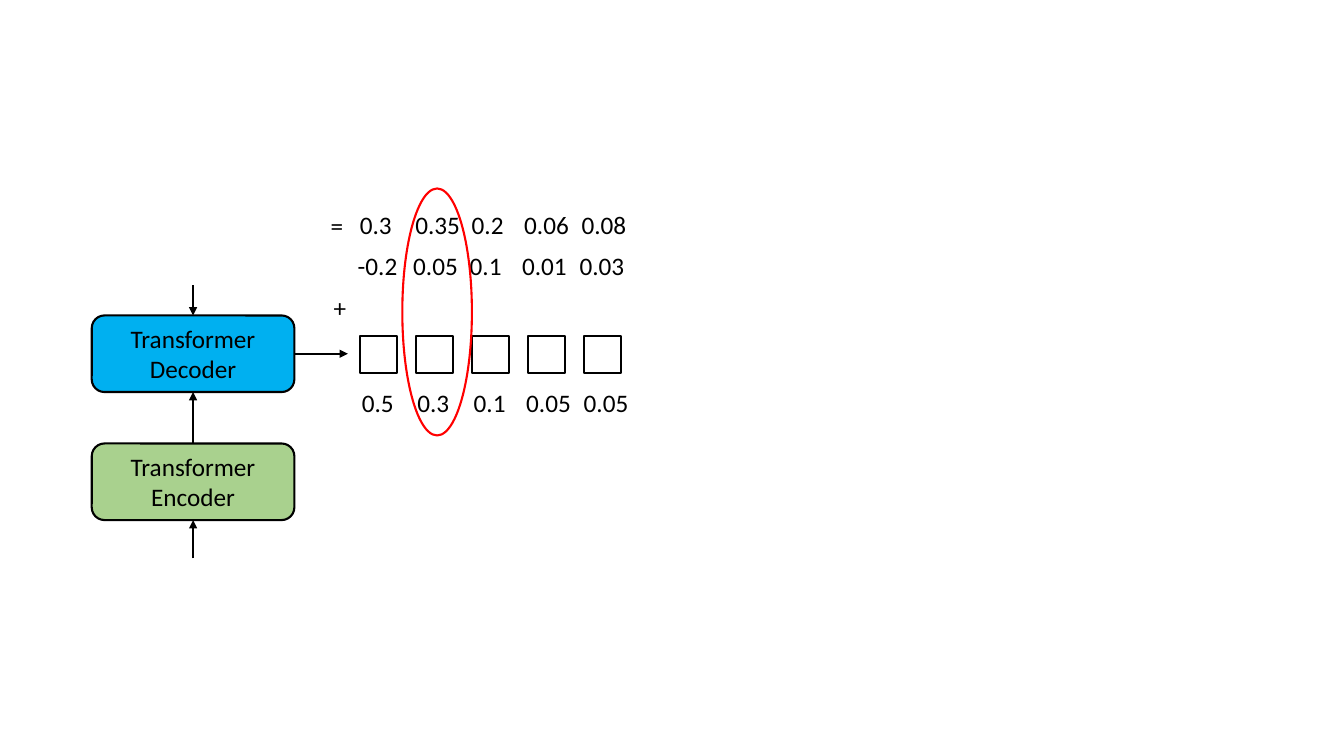
from lxml import etree
from pptx import Presentation
from pptx import util as u
from pptx.dml.color import RGBColor
from pptx.enum import shapes, text
from pptx.oxml import ns

COLORS = {"ink": "000000", "encoder": "A9D18E", "decoder": "00B0F0", "highlight": "FF0000"}
FONT = "Calibri"
BLOCK_LEFT, BLOCK_WIDTH, BLOCK_HEIGHT = 0.91, 2.01, 0.76
BLOCKS = {"encoder": ("Transformer\nEncoder", 4.4), "decoder": ("Transformer\nDecoder", 3.13)}

# Each score row: left shift, top, values
SCORE_ROWS = [
    (0, 3.79, ["0.5", "0.3", "0.1", "0.05", "0.05"]),
    (-0.04, 2.43, ["-0.2", "0.05", "0.1", "0.01", "0.03"]),
    (-0.02, 2.03, ["0.3", "0.35", "0.2", "0.06", "0.08"]),
]
SCORE_COLUMNS = [3.49, 4.04, 4.6, 5.12, 5.69]
OPERATORS = [("+", 3.21, 2.85), ("=", 3.18, 2.04)]
GLYPH_WIDTHS = {"+": 0.13, "=": 0.13, "-": 0.08, ".": 0.06}
TOKEN_COUNT, TOKEN_LEFT, TOKEN_TOP, TOKEN_SIZE, TOKEN_STEP = 5, 3.57, 3.33, 0.37, 0.555
HIGHLIGHT = (3.99, 1.87, 0.69, 2.45)


def color(name):
    return RGBColor.from_string(COLORS[name])


def style_text(frame):
    for para in frame.paragraphs:
        for span in para.runs:
            span.font.size = u.Pt(18)
            span.font.name = FONT
            span.font.color.rgb = color("ink")


def add_outline(page, kind, left, top, width, height, line="ink", fill=None):
    shape = page.shapes.add_shape(kind, *map(u.Inches, (left, top, width, height)))
    shape.shadow.inherit = False
    shape.line.color.rgb = color(line)
    shape.line.width = u.Pt(1.5)
    if fill:
        shape.fill.solid()
        shape.fill.fore_color.rgb = color(fill)
    else:
        shape.fill.background()
    return shape


def add_block(page, name):
    label, top = BLOCKS[name]
    block = add_outline(page, shapes.MSO_SHAPE.ROUNDED_RECTANGLE,
                        BLOCK_LEFT, top, BLOCK_WIDTH, BLOCK_HEIGHT, fill=name)
    frame = block.text_frame
    frame.text = label
    frame.vertical_anchor = text.MSO_ANCHOR.MIDDLE
    for para in frame.paragraphs:
        para.alignment = text.PP_ALIGN.CENTER
    style_text(frame)
    return block


def add_label(page, label, left, top):
    width = 0.2 + sum(GLYPH_WIDTHS.get(glyph, 0.13) for glyph in label)
    box = page.shapes.add_textbox(*map(u.Inches, (left, top, width, 0.4)))
    frame = box.text_frame
    frame.text = label
    frame.word_wrap = False
    frame.auto_size = text.MSO_AUTO_SIZE.SHAPE_TO_FIT_TEXT
    style_text(frame)


def add_arrow(page, start, end):
    arrow = page.shapes.add_connector(shapes.MSO_CONNECTOR.STRAIGHT,
                                      *map(u.Inches, (*start, *end)))
    arrow.line.color.rgb = color("ink")
    arrow.line.width = u.Pt(1.5)
    etree.SubElement(arrow.line._get_or_add_ln(), ns.qn("a:tailEnd"), type="triangle")
    etree.SubElement(arrow._element.spPr, ns.qn("a:effectLst"))
    return arrow


def main():
    deck = Presentation()
    deck.slide_width, deck.slide_height = u.Inches(13.33), u.Inches(7.5)
    page = deck.slides.add_slide(deck.slide_layouts[6])

    encoder = add_block(page, "encoder")
    decoder = add_block(page, "decoder")
    encoder_top, decoder_top = BLOCKS["encoder"][1], BLOCKS["decoder"][1]
    center = BLOCK_LEFT + BLOCK_WIDTH / 2
    right, middle = BLOCK_LEFT + BLOCK_WIDTH, decoder_top + BLOCK_HEIGHT / 2

    between = add_arrow(page, (center, encoder_top), (center, decoder_top + BLOCK_HEIGHT))
    between.begin_connect(encoder, 0)
    between.end_connect(decoder, 2)
    source = add_arrow(page, (center, 5.54), (center, encoder_top + BLOCK_HEIGHT))
    source.end_connect(encoder, 2)
    output = add_arrow(page, (right, middle), (3.45, middle))
    output.begin_connect(decoder, 3)
    target = add_arrow(page, (center, 2.83), (center, decoder_top))
    target.end_connect(decoder, 0)

    for index in range(TOKEN_COUNT):
        add_outline(page, shapes.MSO_SHAPE.RECTANGLE, TOKEN_LEFT + index * TOKEN_STEP,
                    TOKEN_TOP, TOKEN_SIZE, TOKEN_SIZE)
    for shift, top, scores in SCORE_ROWS:
        for left, score in zip(SCORE_COLUMNS, scores):
            add_label(page, score, left + shift, top)
    for sign, left, top in OPERATORS:
        add_label(page, sign, left, top)
    add_outline(page, shapes.MSO_SHAPE.OVAL, *HIGHLIGHT, line="highlight")

    deck.save("out.pptx")


if __name__ == "__main__":
    main()
